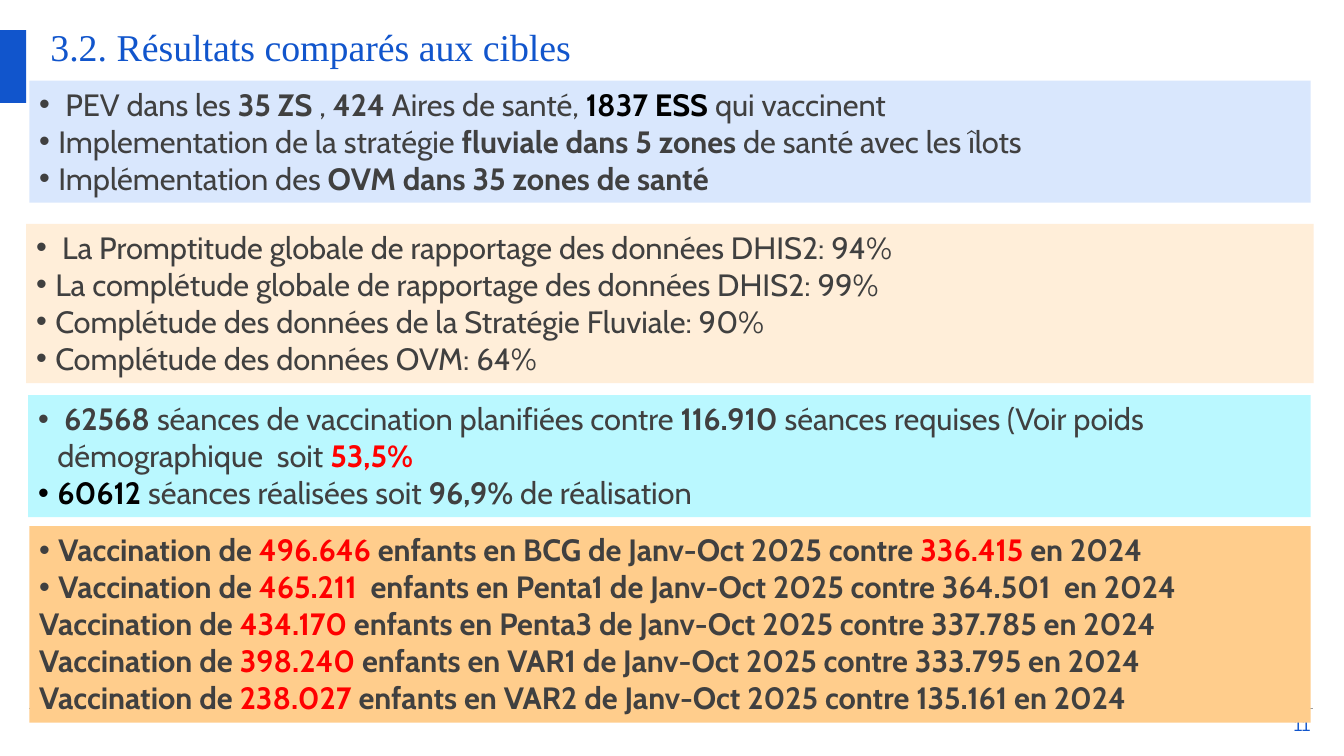
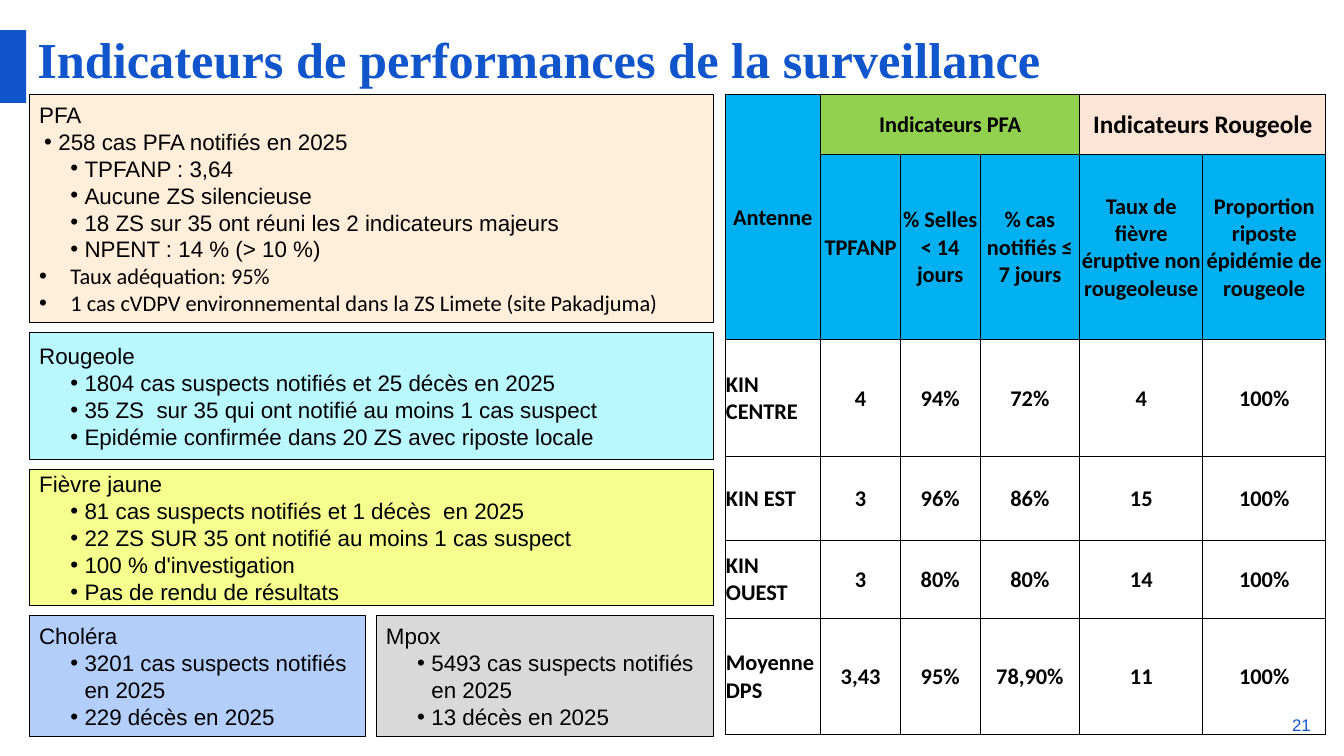
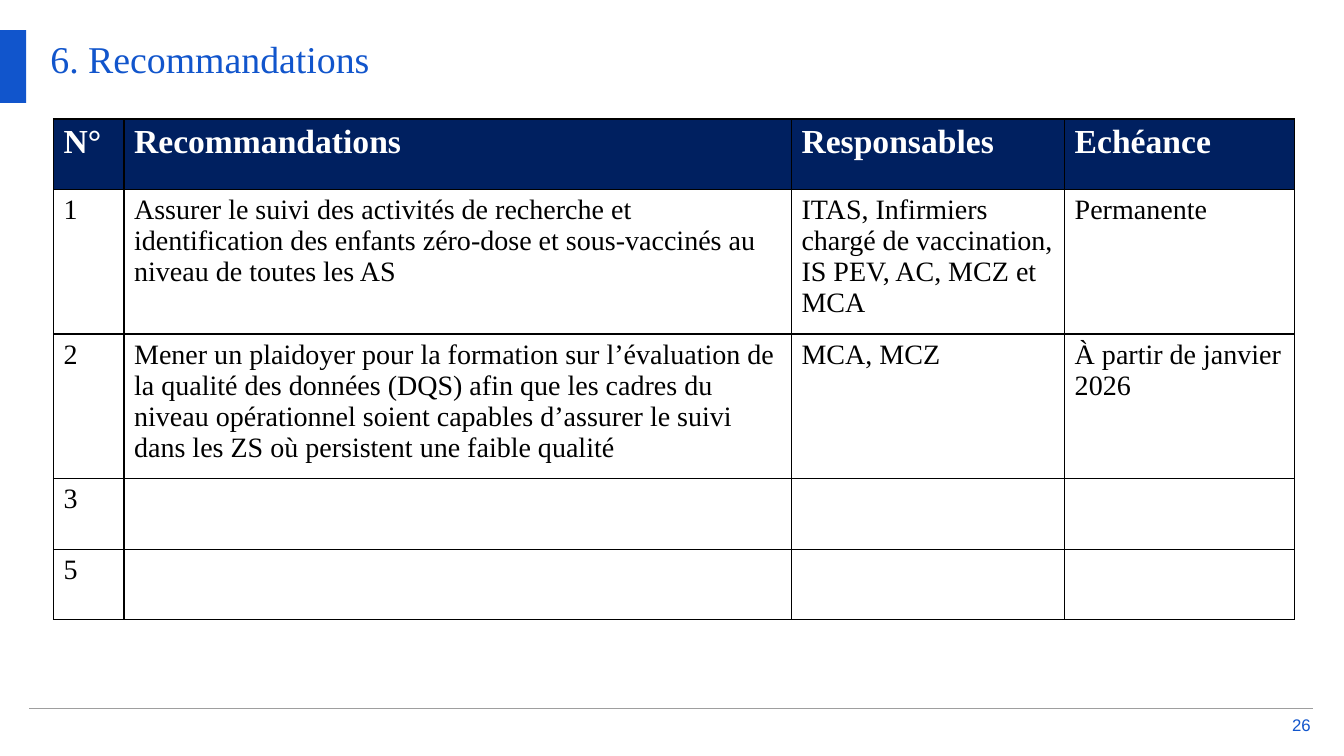
from lxml.etree import SubElement
from pptx import Presentation
from pptx.dml.color import RGBColor
from pptx.enum.shapes import MSO_CONNECTOR as Connector, MSO_SHAPE as Shape
from pptx.enum.text import MSO_ANCHOR as Anchor, PP_ALIGN as Align
from pptx.oxml import parse_xml
from pptx.oxml.ns import nsdecls, qn
from pptx.util import Inches, Pt

# Colours
BLUE = RGBColor(0x11, 0x55, 0xCC)
GREY = RGBColor(0x9E, 0x9E, 0x9E)
CHARCOAL = RGBColor(0x40, 0x40, 0x40)
BLACK = RGBColor(0x00, 0x00, 0x00)
WHITE = RGBColor(0xFF, 0xFF, 0xFF)
RED = RGBColor(0xFF, 0x00, 0x00)
NAVY = RGBColor(0x00, 0x20, 0x60)
SKY = RGBColor(0x00, 0xB0, 0xF0)
GREEN = RGBColor(0x92, 0xD0, 0x50)
PINK = RGBColor(0xFC, 0xE4, 0xD6)
PALE_BLUE = RGBColor(0xD9, 0xE7, 0xFD)
CREAM = RGBColor(0xFF, 0xEE, 0xD9)
CYAN = RGBColor(0xBA, 0xF8, 0xFF)
ORANGE = RGBColor(0xFF, 0xCD, 0x8C)
YELLOW = RGBColor(0xF5, 0xFF, 0x8D)
PERIWINKLE = RGBColor(0xB3, 0xCE, 0xFB)
SILVER = RGBColor(0xD9, 0xD9, 0xD9)

# Run formats and bullet positions (text margin, first-line indent)
BOLD = {"bold": True}
BOLD_BLACK = {"bold": True, "color": BLACK}
BOLD_RED = {"bold": True, "color": RED}
BULLET = (0.19, -0.19)
OUTER = (0.19, -0.14)
INNER = (0.45, -0.14)
WIDE = (0.31, -0.31)


def add_span(para, text, font="Arial", size=16, color=BLACK, bold=False):
    span = para.add_run()
    span.text = text
    span.font.name = font
    span.font.size = Pt(size)
    span.font.color.rgb = color
    span.font.bold = bold


def add_bullet(para, margin, indent):
    props = para._p.get_or_add_pPr()
    props.set("marL", str(Inches(margin)))
    props.set("indent", str(Inches(indent)))
    SubElement(props, qn("a:buFont")).set("typeface", "Arial")
    SubElement(props, qn("a:buChar")).set("char", "•")


def set_borders(cell, width):
    props = cell._tc.get_or_add_tcPr()
    for index, side in enumerate(("lnL", "lnR", "lnT", "lnB")):
        props.insert(index, parse_xml(
            f'<a:{side} {nsdecls("a")} w="{Pt(width)}"><a:solidFill>'
            f'<a:srgbClr val="{BLACK}"/></a:solidFill></a:{side}>'))


class Slides:
    def __init__(self):
        self.deck = Presentation()
        self.deck.slide_width = Inches(13.33)
        self.deck.slide_height = Inches(7.5)
        self.page = None

    def add_page(self, title, number, left=0.5, top=0.35, size=27, bold=False, rule=True):
        self.page = self.deck.slides.add_slide(self.deck.slide_layouts[6])
        self.label(title, left, top, 12.33, 0.8,
                   font="Times New Roman", size=size, color=BLUE, bold=bold)
        self.box(0, 0.3, 0.26, 0.72, BLUE)
        self.label(str(number), 12.75, 7.1, 0.25, 0.18, align=Align.RIGHT,
                   anchor=Anchor.MIDDLE, size=12, color=BLUE)
        if rule:
            self.line(0.29, 13.02, 7.03)

    def label(self, text, left, top, width, height,
              align=Align.LEFT, anchor=Anchor.TOP, **style):
        box = self.page.shapes.add_textbox(*map(Inches, (left, top, width, height)))
        frame = box.text_frame
        frame.word_wrap = True
        frame.vertical_anchor = anchor
        frame.margin_left = frame.margin_right = frame.margin_top = frame.margin_bottom = 0
        para = frame.paragraphs[0]
        para.alignment = align
        add_span(para, text, **style)

    def line(self, left, right, top):
        line = self.page.shapes.add_connector(
            Connector.STRAIGHT, *map(Inches, (left, top, right, top)))
        line.line.color.rgb = GREY
        line.line.width = Pt(1)
        SubElement(line._element.spPr, qn("a:effectLst"))

    def box(self, left, top, width, height, fill, paras=(),
            outline=False, anchor=Anchor.TOP, **style):
        """Each paragraph is (bullet position or None, text or (text, format), ...)."""
        box = self.page.shapes.add_shape(
            Shape.RECTANGLE, *map(Inches, (left, top, width, height)))
        box.shadow.inherit = False
        box.fill.solid()
        box.fill.fore_color.rgb = fill
        if outline:
            box.line.color.rgb = BLACK
            box.line.width = Pt(0.5)
        else:
            box.line.fill.background()
        frame = box.text_frame
        frame.word_wrap = True
        frame.vertical_anchor = anchor
        for index, (bullet, *parts) in enumerate(paras):
            para = frame.add_paragraph() if index else frame.paragraphs[0]
            para.alignment = Align.LEFT
            if bullet:
                add_bullet(para, *bullet)
            for part in parts:
                text, changes = (part, {}) if isinstance(part, str) else part
                add_span(para, text, **{**style, **changes})

    def table(self, left, top, widths, heights, border):
        table = self.page.shapes.add_table(
            len(heights), len(widths),
            *map(Inches, (left, top, sum(widths), sum(heights)))).table
        table.first_row = table.horz_banding = False
        for column, width in zip(table.columns, widths):
            column.width = Inches(width)
        for row, height in zip(table.rows, heights):
            row.height = Inches(height)
        for cell in table.iter_cells():
            cell.fill.background()
            set_borders(cell, border)
        return table

    def cell(self, cell, text, fill=None, align=Align.LEFT,
             anchor=Anchor.TOP, margin=None, **style):
        if fill is not None:
            cell.fill.solid()
            cell.fill.fore_color.rgb = fill
        cell.vertical_anchor = anchor
        if margin is not None:
            cell.margin_left = cell.margin_right = cell.margin_top = Inches(margin)
            cell.margin_bottom = 0
        if text:
            para = cell.text_frame.paragraphs[0]
            para.alignment = align
            add_span(para, text, **style)


def build_results(slides):
    slides.add_page("3.2. Résultats comparés aux cibles", 11, top=0.24)

    coverage = [
        (BULLET, " PEV dans les ", ("35 ZS", BOLD), " , ", ("424", BOLD),
         " Aires de santé, ", ("1837 ESS ", BOLD_BLACK), "qui vaccinent"),
        (BULLET, "Implementation de la stratégie ",
         ("fluviale dans 5 zones ", BOLD), "de santé avec les îlots"),
        (BULLET, "Implémentation des ", ("OVM dans 35 zones de santé", BOLD)),
    ]
    reporting = [
        (BULLET, " La Promptitude globale de rapportage des données DHIS2: 94%"),
        (BULLET, "La complétude globale de rapportage des données DHIS2: 99%"),
        (BULLET, "Complétude des données de la Stratégie Fluviale: 90%"),
        (BULLET, "Complétude des données OVM: 64%"),
    ]
    sessions = [
        (BULLET, (" 62568 ", BOLD), "séances de vaccination planifiées contre ",
         ("116.910", BOLD), " séances requises (Voir poids démographique  soit ",
         ("53,5%", BOLD_RED)),
        (BULLET, ("60612 ", BOLD_BLACK), "séances réalisées soit ",
         ("96,9%", BOLD), " de réalisation"),
    ]
    vaccinated = [
        (bullet, ("Vaccination de ", BOLD), (count, BOLD_RED),
         *((text, BOLD) for text in rest[:1]), *rest[1:])
        for bullet, count, *rest in [
            (BULLET, "496.646", " enfants en BCG de Janv-Oct 2025 contre ",
             ("336.415", BOLD_RED), (" en 2024", BOLD)),
            (BULLET, "465.211", "  enfants en Penta1 de Janv-Oct 2025 contre 364.501  en 2024"),
            (None, "434.170", " enfants en Penta3 de Janv-Oct 2025 contre 337.785 en 2024"),
            (None, "398.240", " enfants en VAR1 de Janv-Oct 2025 contre 333.795 en 2024"),
            (None, "238.027", " enfants en VAR2 de Janv-Oct 2025 contre 135.161 en 2024"),
        ]
    ]
    for left, top, width, height, fill, paras in [
        (0.29, 0.8, 12.71, 1.21, PALE_BLUE, coverage),
        (0.26, 2.22, 12.77, 1.58, CREAM, reporting),
        (0.28, 3.92, 12.72, 1.21, CYAN, sessions),
        (0.29, 5.22, 12.71, 1.95, ORANGE, vaccinated),
    ]:
        slides.box(left, top, width, height, fill, paras,
                   font="Cabin", size=22, color=CHARCOAL)


def build_surveillance(slides):
    slides.add_page("Indicateurs de performances de la surveillance", 21,
                    left=0.37, top=0.28, size=36, bold=True, rule=False)

    # Disease boxes, stacked with equal gaps
    calibri = {"font": "Calibri"}
    polio = [
        (None, "PFA"),
        (OUTER, "258 cas PFA notifiés en 2025"),
        (INNER, "TPFANP : 3,64"),
        (INNER, "Aucune ZS silencieuse"),
        (INNER, "18 ZS sur 35 ont réuni les 2 indicateurs majeurs"),
        (INNER, "NPENT : 14 % (˃ 10 %)"),
        (WIDE, ("Taux adéquation: 95%", calibri)),
        (WIDE, ("1 cas cVDPV environnemental dans la ZS Limete (site Pakadjuma)", calibri)),
    ]
    measles = [
        (None, "Rougeole"),
        (INNER, "1804 cas suspects notifiés et 25 décès en 2025"),
        (INNER, "35 ZS  sur 35 qui ont notifié au moins 1 cas suspect"),
        (INNER, "Epidémie confirmée dans 20 ZS avec riposte locale"),
    ]
    yellow_fever = [
        (None, "Fièvre jaune"),
        (INNER, "81 cas suspects notifiés et 1 décès  en 2025"),
        (INNER, "22 ZS SUR 35 ont notifié au moins 1 cas suspect"),
        (INNER, "100 % d'investigation"),
        (INNER, "Pas de rendu de résultats"),
    ]
    cholera = [
        (None, "Choléra"),
        (INNER, "3201 cas suspects notifiés en 2025"),
        (INNER, "229 décès en 2025"),
    ]
    mpox = [
        (None, "Mpox"),
        (INNER, "5493 cas suspects notifiés en 2025"),
        (INNER, "13 décès en 2025"),
    ]
    top, gap = 0.94, 0.1
    for height, boxes in [
        (2.26, [(0.29, 6.79, CREAM, polio)]),
        (1.26, [(0.29, 6.79, CYAN, measles)]),
        (1.35, [(0.29, 6.79, YELLOW, yellow_fever)]),
        (1.2, [(0.29, 3.33, PERIWINKLE, cholera), (3.73, 3.35, SILVER, mpox)]),
    ]:
        for left, width, fill, paras in boxes:
            slides.box(left, top, width, height, fill, paras,
                       outline=True, anchor=Anchor.MIDDLE)
        top += height + gap

    # Indicator table
    table = slides.table(7.19, 0.94, [0.95, 0.79, 0.79, 0.99, 1.22, 1.22],
                         [0.59, 1.84, 1.16, 0.83, 0.77, 1.16], border=0.5)
    style = {"font": "Calibri", "bold": True, "anchor": Anchor.MIDDLE, "margin": 0.01}
    for (row, column), (last_row, last_column), text, fill, size in [
        ((0, 0), (1, 0), "Antenne", SKY, 16),
        ((0, 1), (0, 3), "Indicateurs PFA", GREEN, 16),
        ((0, 4), (0, 5), "Indicateurs Rougeole", PINK, 18),
    ]:
        cell = table.cell(row, column)
        cell.merge(table.cell(last_row, last_column))
        slides.cell(cell, text, fill, Align.CENTER, size=size, **style)

    headings = ["TPFANP", "% Selles ˂ 14 jours", "% cas notifiés ≤ 7 jours",
                "Taux de fièvre éruptive non rougeoleuse",
                "Proportion riposte épidémie de rougeole"]
    for column, text in enumerate(headings, 1):
        slides.cell(table.cell(1, column), text, SKY, Align.CENTER, **style)

    for row, values in enumerate([
        ("KIN CENTRE", "4", "94%", "72%", "4", "100%"),
        ("KIN EST", "3", "96%", "86%", "15", "100%"),
        ("KIN OUEST", "3", "80%", "80%", "14", "100%"),
        ("Moyenne DPS", "3,43", "95%", "78,90%", "11", "100%"),
    ], 2):
        for column, text in enumerate(values):
            align = Align.CENTER if column else Align.LEFT
            slides.cell(table.cell(row, column), text, align=align, **style)


def build_recommendations(slides):
    slides.add_page("6. Recommandations", 26)
    table = slides.table(0.53, 1.18, [0.7, 6.62, 2.71, 2.28],
                         [0.7, 1.33, 1.33, 0.7, 0.7], border=1)
    heading = {"fill": NAVY, "size": 24, "color": WHITE, "bold": True}
    for row, values in enumerate([
        ("N°", "Recommandations", "Responsables", "Echéance"),
        ("1", "Assurer le suivi des activités de recherche et identification des enfants "
         "zéro-dose et sous-vaccinés au niveau de toutes les AS",
         "ITAS, Infirmiers chargé de vaccination, IS PEV, AC, MCZ et MCA", "Permanente"),
        ("2", "Mener un plaidoyer pour la formation sur l’évaluation de la qualité des "
         "données (DQS) afin que les cadres du niveau opérationnel soient capables "
         "d’assurer le suivi dans les ZS où persistent une faible qualité",
         "MCA, MCZ", "À partir de janvier 2026"),
        ("3", "", "", ""),
        ("5", "", "", ""),
    ]):
        style = {"size": 20} if row else heading
        for column, text in enumerate(values):
            slides.cell(table.cell(row, column), text, font="Times New Roman", **style)


def main():
    slides = Slides()
    build_results(slides)
    build_surveillance(slides)
    build_recommendations(slides)
    slides.deck.save("out.pptx")


if __name__ == "__main__":
    main()
